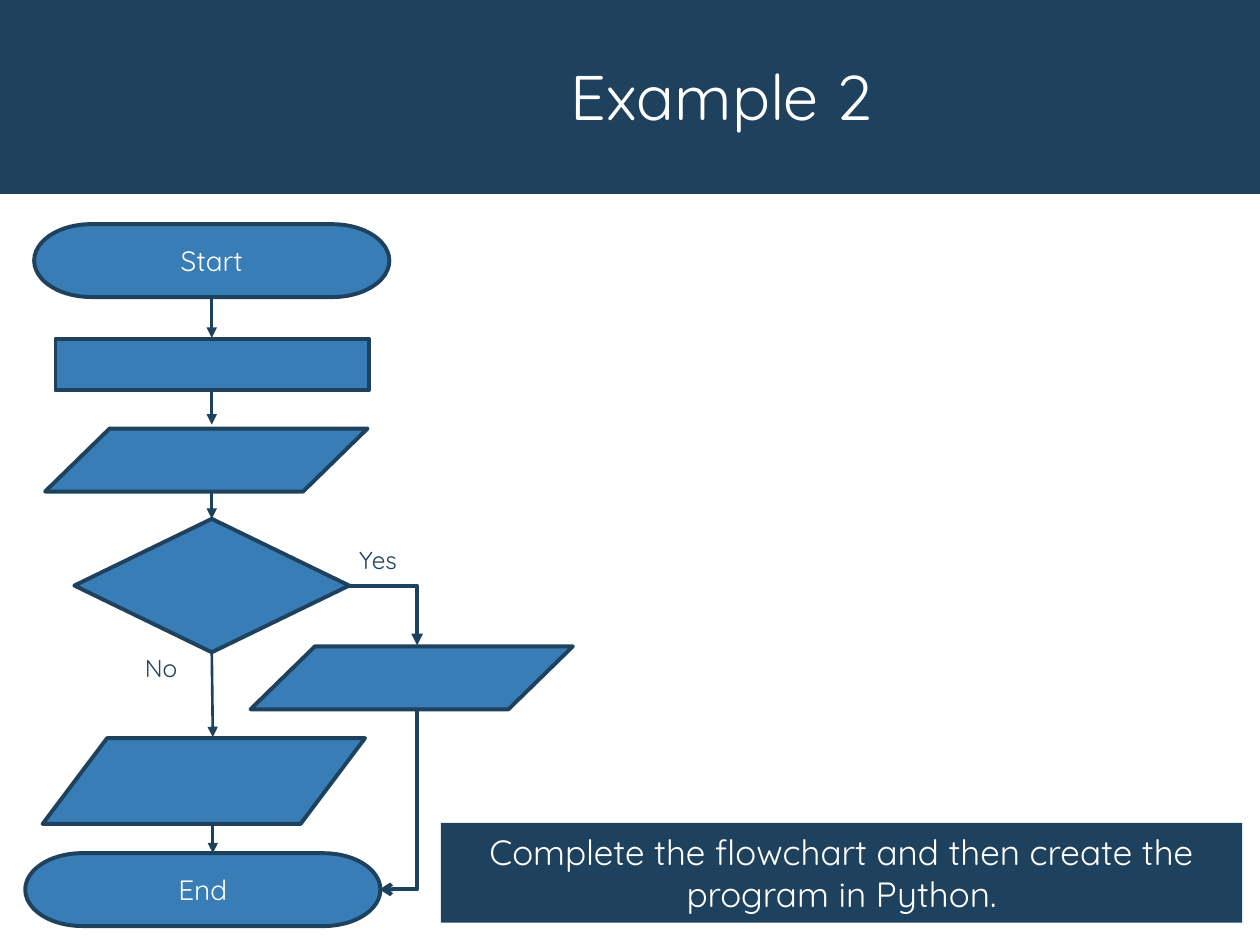
import dataclasses
import typing

import lxml.etree
import pptx
import pptx.dml.color
import pptx.enum.shapes
import pptx.enum.text
import pptx.oxml.ns
import pptx.util

Cm = pptx.util.Cm
Pt = pptx.util.Pt
RGBColor = pptx.dml.color.RGBColor
Kind = pptx.enum.shapes.MSO_SHAPE
Link = pptx.enum.shapes.MSO_CONNECTOR
Align = pptx.enum.text.PP_ALIGN
qn = pptx.oxml.ns.qn

NAVY = RGBColor(0x1E, 0x41, 0x5E)
BLUE = RGBColor(0x38, 0x7D, 0xB6)
WHITE = RGBColor(0xFF, 0xFF, 0xFF)
FONT = "Quicksand"


@dataclasses.dataclass
class Box:
    kind: Kind
    left: float
    top: float
    width: float
    height: float
    text: str = ""
    size: int = 16
    fill: RGBColor = BLUE
    edge: bool = True


@dataclasses.dataclass
class Label:
    text: str
    left: float
    top: float
    width: float
    height: float
    size: int
    color: RGBColor


@dataclasses.dataclass
class Arrow:
    x1: float
    y1: float
    x2: float
    y2: float
    bent: bool = False
    turn: int = 0  # degrees, clockwise about the middle
    weight: float = 1.5
    head: str = "triangle"


# Flowchart steps, with the title band and the task banner
BAND = Box(Kind.RECTANGLE, 0, 0, 25.4, 3.91, fill=NAVY, edge=False)
STEPS = [
    Box(Kind.FLOWCHART_TERMINATOR, 0.69, 4.52, 7.16, 1.47, "Start"),
    Box(Kind.RECTANGLE, 1.12, 6.83, 6.32, 1.04),
    Box(Kind.FLOWCHART_DATA, 0.91, 8.64, 6.5, 1.27),
    Box(Kind.FLOWCHART_DECISION, 1.5, 10.46, 5.54, 2.69),
    Box(Kind.FLOWCHART_DATA, 5.05, 13.03, 6.5, 1.27),
    Box(Kind.FLOWCHART_DATA, 0.86, 14.88, 6.5, 1.73),
    Box(Kind.FLOWCHART_TERMINATOR, 0.51, 17.2, 7.16, 1.47, "End"),
]
TASK = Box(Kind.RECTANGLE, 8.89, 16.59, 16.15, 2.01,
           "Complete the flowchart and then create the program in Python.",
           20, NAVY, False)

TITLE = Label("Example 2", 3.68, 0.61, 21.72, 2.82, 36, WHITE)
TAGS = [
    Label("Yes", 6.99, 10.87, 1.32, 0.86, 14, NAVY),
    Label("No", 2.67, 13.03, 1.32, 0.86, 14, NAVY),
]

ARROWS = [
    Arrow(4.27, 5.99, 4.27, 6.81),
    Arrow(4.27, 7.87, 4.27, 8.56),
    Arrow(4.27, 9.9, 4.27, 10.46),
    Arrow(4.27, 13.15, 4.29, 14.86),
    Arrow(4.29, 16.6, 4.29, 17.2),
    Arrow(7.04, 11.81, 8.41, 13.01, bent=True, weight=2.25),
    Arrow(6.23, 15.75, 9.83, 16.51, bent=True, turn=90, weight=2.25,
          head="arrow"),
]


def set_text(frame: typing.Any, text: str, size: int, color: RGBColor,
             align: Align) -> None:
    frame.text = text
    para = frame.paragraphs[0]
    para.alignment = align
    for run in para.runs:
        run.font.name = FONT
        run.font.size = Pt(size)
        run.font.color.rgb = color


def draw_box(slide: typing.Any, box: Box) -> None:
    shape = slide.shapes.add_shape(box.kind, Cm(box.left), Cm(box.top),
                                   Cm(box.width), Cm(box.height))
    shape.shadow.inherit = False
    shape.fill.solid()
    shape.fill.fore_color.rgb = box.fill
    if box.edge:
        shape.line.color.rgb = NAVY
        shape.line.width = Pt(2.25)
    else:
        shape.line.fill.background()
    if box.text:
        set_text(shape.text_frame, box.text, box.size, WHITE, Align.CENTER)


def draw_label(slide: typing.Any, label: Label, align: Align) -> typing.Any:
    shape = slide.shapes.add_textbox(Cm(label.left), Cm(label.top),
                                     Cm(label.width), Cm(label.height))
    frame = shape.text_frame
    set_text(frame, label.text, label.size, label.color, align)
    return frame


def draw_arrow(slide: typing.Any, arrow: Arrow) -> None:
    kind = Link.ELBOW if arrow.bent else Link.STRAIGHT
    line = slide.shapes.add_connector(kind, Cm(arrow.x1), Cm(arrow.y1),
                                      Cm(arrow.x2), Cm(arrow.y2))
    line.line.color.rgb = NAVY
    line.line.width = Pt(arrow.weight)
    props = line.element.spPr
    if arrow.bent:
        props.find(qn("a:prstGeom")).set("prst", "bentConnector2")
    if arrow.turn:
        props.find(qn("a:xfrm")).set("rot", str(arrow.turn * 60000))
    lxml.etree.SubElement(props.find(qn("a:ln")), qn("a:tailEnd"),
                          type=arrow.head)
    lxml.etree.SubElement(props, qn("a:effectLst"))


def main() -> None:
    deck = pptx.Presentation()
    deck.slide_width, deck.slide_height = Cm(25.4), Cm(19.05)
    slide = deck.slides.add_slide(deck.slide_layouts[6])

    # Title
    draw_box(slide, BAND)
    frame = draw_label(slide, TITLE, Align.CENTER)
    frame.word_wrap = True
    frame.vertical_anchor = pptx.enum.text.MSO_ANCHOR.MIDDLE
    frame.paragraphs[0].line_spacing = 0.9

    # Flowchart
    for step in STEPS:
        draw_box(slide, step)
    for arrow in ARROWS:
        draw_arrow(slide, arrow)
    for tag in TAGS:
        draw_label(slide, tag, Align.LEFT)

    # Task
    draw_box(slide, TASK)

    deck.save("out.pptx")


if __name__ == "__main__":
    main()
